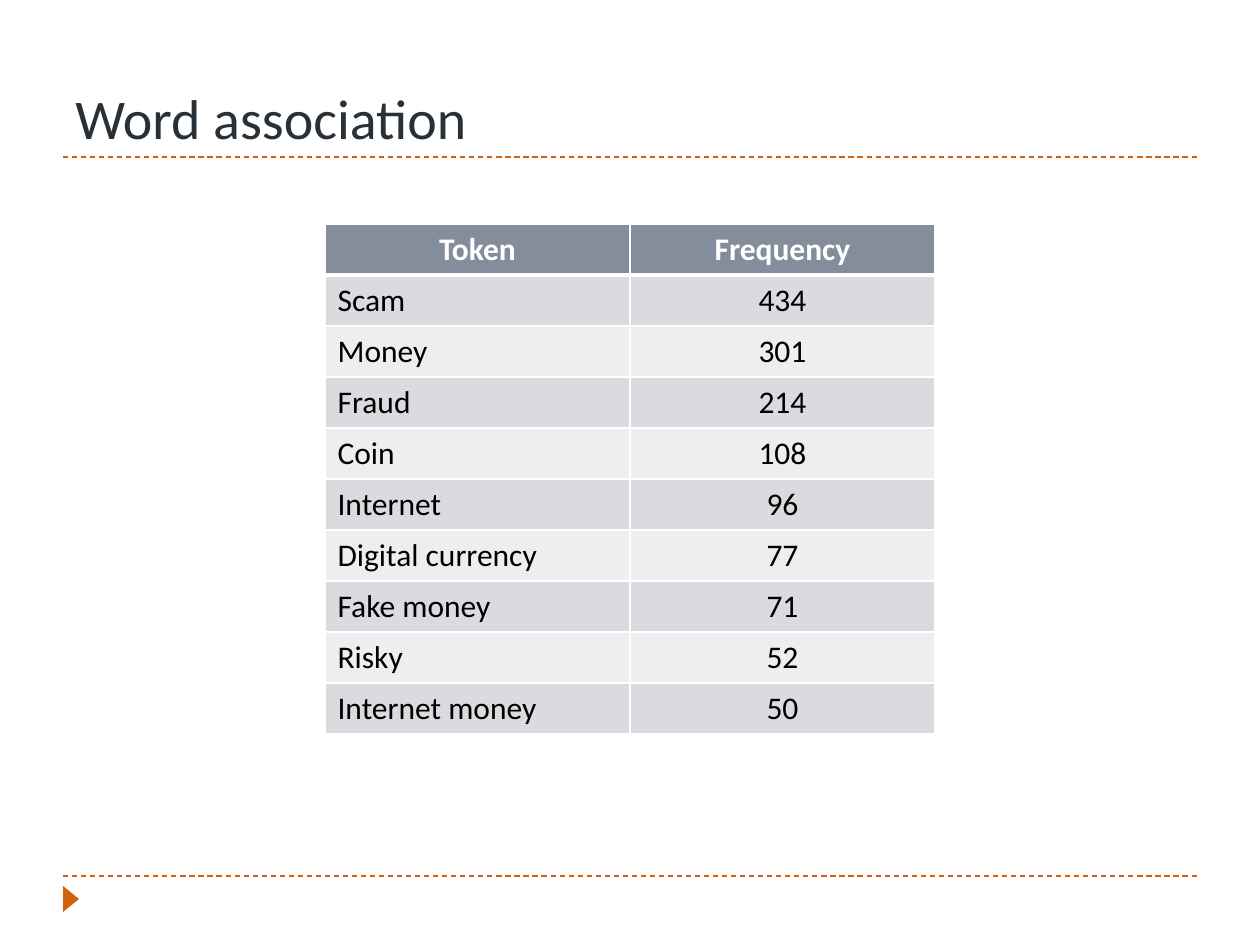
"""Build the word association slide with its token frequency table."""
from lxml import etree
from pptx import Presentation
from pptx.dml.color import RGBColor
from pptx.enum.dml import MSO_LINE
from pptx.enum.shapes import MSO_CONNECTOR, MSO_SHAPE
from pptx.enum.text import MSO_ANCHOR, PP_ALIGN
from pptx.oxml.ns import qn
from pptx.util import Pt

DASH = MSO_LINE.DASH
STRAIGHT = MSO_CONNECTOR.STRAIGHT
TRIANGLE = MSO_SHAPE.ISOSCELES_TRIANGLE
BOTTOM = MSO_ANCHOR.BOTTOM
LEFT, CENTER = PP_ALIGN.LEFT, PP_ALIGN.CENTER

TITLE = "Word association"
HEADER = ("Token", "Frequency")
FREQUENCIES = [
    ("Scam", 434),
    ("Money", 301),
    ("Fraud", 214),
    ("Coin", 108),
    ("Internet", 96),
    ("Digital currency", 77),
    ("Fake money", 71),
    ("Risky", 52),
    ("Internet money", 50),
]

COLORS = {
    "accent": "D2610C",
    "title": "283138",
    "header": "838D9B",
    "odd": "D9DBDE",
    "even": "EDEEEF",
    "white": "FFFFFF",
    "black": "000000",
}
FONT = "Calibri"
SLIDE_W, SLIDE_H = 1260, 945
MARGIN = 63
CONTENT_W = SLIDE_W - 2 * MARGIN
TITLE_TOP, TITLE_H = 21, 136
RULES_Y = (876, 157)
MARKER = (58, 891, 26, 16)
TABLE_TOP, COLUMN_W, ROW_H = 224, 305, 51
THIN, THICK = 1, 3


def px(length):
    return round(length * 914400 / 126)


def rgb(name):
    return RGBColor.from_string(COLORS[name])


def style(paragraph, size, color, bold=False, align=LEFT):
    paragraph.alignment = align
    for run in paragraph.runs:
        run.font.name = FONT
        run.font.size = Pt(size)
        run.font.bold = bold
        run.font.color.rgb = rgb(color)


def add_rule(slide, y):
    rule = slide.shapes.add_connector(
        STRAIGHT, px(MARGIN), px(y), px(SLIDE_W - MARGIN), px(y))
    rule.line.color.rgb = rgb("accent")
    rule.line.width = Pt(0.75)
    rule.line.dash_style = DASH
    etree.SubElement(rule._element.spPr, qn("a:effectLst"))


def add_marker(slide):
    marker = slide.shapes.add_shape(TRIANGLE, *map(px, MARKER))
    marker.rotation = 90
    marker.shadow.inherit = False
    marker.fill.solid()
    marker.fill.fore_color.rgb = rgb("accent")
    marker.line.fill.background()


def add_title(slide):
    title = slide.shapes.add_textbox(
        px(MARGIN), px(TITLE_TOP), px(CONTENT_W), px(TITLE_H))
    frame = title.text_frame
    frame.word_wrap = True
    frame.vertical_anchor = BOTTOM
    frame.text = TITLE
    style(frame.paragraphs[0], 32, "title")


def set_borders(cell, top, bottom):
    properties = cell._tc.get_or_add_tcPr()
    widths = {"lnL": THIN, "lnR": THIN, "lnT": top, "lnB": bottom}
    for position, (side, width) in enumerate(widths.items()):
        border = etree.Element(qn(f"a:{side}"), w=str(Pt(width)))
        fill = etree.SubElement(border, qn("a:solidFill"))
        etree.SubElement(fill, qn("a:srgbClr"), val=COLORS["white"])
        properties.insert(position, border)


def add_frequency_table(slide):
    rows = [HEADER, *FREQUENCIES]
    width = COLUMN_W * len(HEADER)
    table = slide.shapes.add_table(
        len(rows), len(HEADER), px((SLIDE_W - width) / 2), px(TABLE_TOP),
        px(width), px(ROW_H * len(rows))).table
    for r, values in enumerate(rows):
        is_header = r == 0
        fill = "header" if is_header else "odd" if r % 2 else "even"
        for c, value in enumerate(values):
            cell = table.cell(r, c)
            cell.text = str(value)
            cell.fill.solid()
            cell.fill.fore_color.rgb = rgb(fill)
            set_borders(cell, THICK if r == 1 else THIN,
                        THICK if is_header else THIN)
            style(cell.text_frame.paragraphs[0], 18,
                  "white" if is_header else "black", is_header,
                  CENTER if is_header or c == 1 else LEFT)


def main():
    deck = Presentation()
    deck.slide_width, deck.slide_height = px(SLIDE_W), px(SLIDE_H)
    slide = deck.slides.add_slide(deck.slide_layouts[6])
    for y in RULES_Y:
        add_rule(slide, y)
    add_marker(slide)
    add_title(slide)
    add_frequency_table(slide)
    deck.save("out.pptx")


if __name__ == "__main__":
    main()
